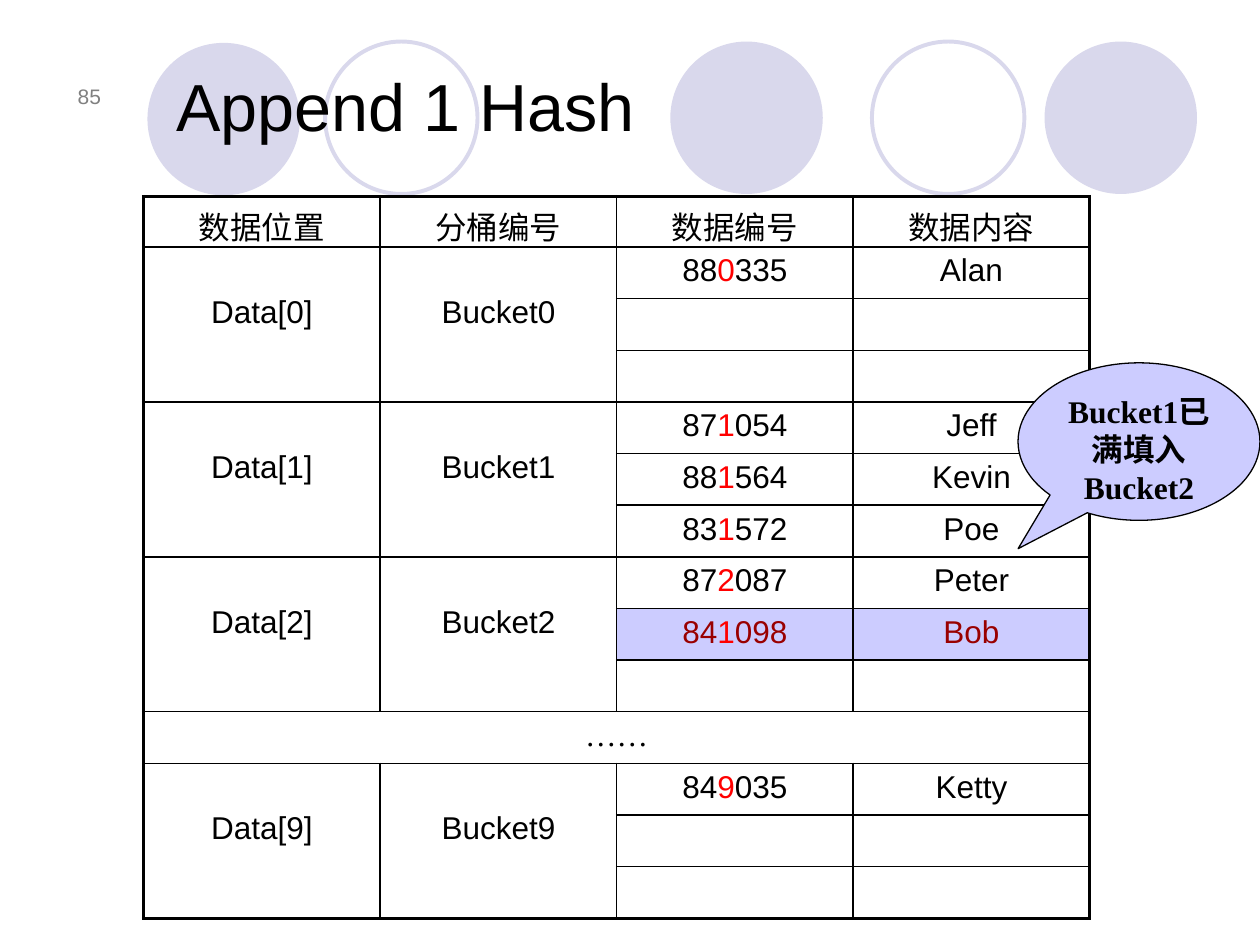
"""Build the Append 1 Hash slide with its bucket table and callout."""
from typing import NamedTuple

from lxml.etree import SubElement
from pptx import Presentation
from pptx.dml.color import RGBColor
from pptx.enum.shapes import MSO_SHAPE
from pptx.enum.text import MSO_ANCHOR, PP_ALIGN
from pptx.oxml.ns import qn
from pptx.util import Inches, Pt

COLORS = {
    "black": "000000", "gray": "808080", "lavender": "D9D8EC",
    "violet": "CCCCFF", "red": "FF0000", "maroon": "990000",
}


class Circle(NamedTuple):
    left: float
    top: float
    filled: bool


class Label(NamedTuple):
    text: str
    box: tuple
    size: float
    color: str
    align: PP_ALIGN
    line_spacing: float


class Record(NamedTuple):
    number: str
    name: str
    color: str = "black"
    fill: str = ""


class Bucket(NamedTuple):
    index: int
    first_row: int
    records: tuple


CIRCLES = (
    Circle(5.32, 0.33, True), Circle(8.29, 0.33, True), Circle(1.17, 0.34, True),
    Circle(6.92, 0.33, False), Circle(2.58, 0.33, False),
)
LABELS = (
    Label("85", (0.35, 0.44, 0.55, 0.47), 12, "gray", PP_ALIGN.RIGHT, 1),
    Label("Append 1 Hash", (1.3, 0.68, 8.47, 0.52), 38, "black", PP_ALIGN.LEFT, 1.15),
)
HEADINGS = ("数据位置", "分桶编号", "数据编号", "数据内容")
BUCKETS = (
    Bucket(0, 1, (Record("880335", "Alan"),)),
    Bucket(1, 4, (Record("871054", "Jeff"), Record("881564", "Kevin"), Record("831572", "Poe"))),
    Bucket(2, 7, (Record("872087", "Peter"), Record("841098", "Bob", "maroon", "violet"))),
    Bucket(9, 11, (Record("849035", "Ketty"),)),
)
BUCKET_SIZE = 3
ELLIPSIS_ROW = 10
ROW_COUNT = 14
KEY_DIGIT = 2


def rgb(color: str) -> RGBColor:
    """Return the named colour."""
    return RGBColor.from_string(COLORS[color])


def add_run(paragraph, text: str, size: float, color: str = "black",
            name: str = "Arial", bold: bool = False) -> None:
    """Append one formatted run."""
    run = paragraph.add_run()
    run.text = text
    formats = {"size": Pt(size), "name": name, "bold": bold}
    for attribute, value in formats.items():
        setattr(run.font, attribute, value)
    run.font.color.rgb = rgb(color)


def add_circle(slide, circle: Circle) -> None:
    """Draw a filled disc or an open ring."""
    shape = slide.shapes.add_shape(
        MSO_SHAPE.OVAL, Inches(circle.left), Inches(circle.top), Inches(1.21), Inches(1.21))
    shape.shadow.inherit = False
    if circle.filled:
        shape.fill.solid()
        shape.fill.fore_color.rgb = rgb("lavender")
        shape.line.fill.background()
    else:
        shape.fill.background()
        shape.line.color.rgb = rgb("lavender")
        shape.line.width = Pt(2.25)


def add_label(slide, label: Label) -> None:
    """Place a bottom-anchored line of text."""
    frame = slide.shapes.add_textbox(*map(Inches, label.box)).text_frame
    frame.word_wrap = True
    frame.vertical_anchor = MSO_ANCHOR.BOTTOM
    paragraph = frame.paragraphs[0]
    paragraph.alignment = label.align
    paragraph.line_spacing = label.line_spacing
    add_run(paragraph, label.text, label.size, label.color)


def write_cell(cell, *runs: tuple, name: str = "Arial") -> None:
    """Write centred runs of text and colour into a cell."""
    paragraph = cell.text_frame.paragraphs[0]
    paragraph.alignment = PP_ALIGN.CENTER
    for text, color in runs:
        add_run(paragraph, text, 18, color, name)


def set_borders(cell, edges: dict) -> None:
    """Draw thick lines on outer edges and thin lines elsewhere."""
    properties = cell._tc.get_or_add_tcPr()
    for tag, outer in edges.items():
        line = SubElement(properties, qn(f"a:{tag}"), w=str(Pt(2.25 if outer else 1)))
        fill = SubElement(line, qn("a:solidFill"))
        SubElement(fill, qn("a:srgbClr"), val=COLORS["black"])


def fill_bucket(table, bucket: Bucket) -> None:
    """Write one bucket's merged labels and its records."""
    for column, text in enumerate((f"Data[{bucket.index}]", f"Bucket{bucket.index}")):
        cell = table.cell(bucket.first_row, column)
        cell.merge(table.cell(bucket.first_row + BUCKET_SIZE - 1, column))
        cell.margin_top = Inches(0.38)
        write_cell(cell, (text, "black"))
    for row, record in enumerate(bucket.records, bucket.first_row):
        number_cell, name_cell = table.cell(row, 2), table.cell(row, 3)
        write_cell(number_cell, (record.number[:KEY_DIGIT], record.color),
                   (record.number[KEY_DIGIT], "red"),
                   (record.number[KEY_DIGIT + 1:], record.color))
        write_cell(name_cell, (record.name, record.color))
        if record.fill:
            for cell in (number_cell, name_cell):
                cell.fill.solid()
                cell.fill.fore_color.rgb = rgb(record.fill)


def add_hash_table(slide) -> None:
    """Build the table of buckets."""
    columns = len(HEADINGS)
    table = slide.shapes.add_table(
        ROW_COUNT, columns, Inches(1.14), Inches(1.56), Inches(7.51), Inches(5.74)).table
    for attribute in ("first_row", "horz_banding"):
        setattr(table, attribute, False)
    for column in table.columns:
        column.width = Inches(7.51 / columns)
    for index, row in enumerate(table.rows):
        row.height = Inches(0.41 if index else 0.4)
        for column, cell in enumerate(row.cells):
            is_bucket_label = column < 2 and index == ROW_COUNT - BUCKET_SIZE
            set_borders(cell, {
                "lnL": column == 0,
                "lnR": column == columns - 1 or index == ELLIPSIS_ROW,
                "lnT": index == 0,
                "lnB": index == ROW_COUNT - 1 or is_bucket_label,
            })
            cell.fill.background()
    for column, heading in enumerate(HEADINGS):
        write_cell(table.cell(0, column), (heading, "black"))
    for bucket in BUCKETS:
        fill_bucket(table, bucket)
    gap = table.cell(ELLIPSIS_ROW, 0)
    gap.merge(table.cell(ELLIPSIS_ROW, columns - 1))
    write_cell(gap, ("……", "black"), name="Times New Roman")


def add_callout(slide) -> None:
    """Draw the overflow note pointing at the full bucket."""
    shape = slide.shapes.add_shape(
        MSO_SHAPE.OVAL_CALLOUT, Inches(8.08), Inches(2.88), Inches(1.92), Inches(1.25))
    shape.shadow.inherit = False
    shape.adjustments[0], shape.adjustments[1] = -0.5, 0.68
    shape.fill.solid()
    shape.fill.fore_color.rgb = rgb("violet")
    shape.line.color.rgb = rgb("black")
    shape.line.width = Pt(0.75)
    frame = shape.text_frame
    frame.word_wrap = True
    frame.vertical_anchor = MSO_ANCHOR.TOP
    frame.paragraphs[0].alignment = PP_ALIGN.CENTER
    add_run(frame.paragraphs[0], "Bucket1已满填入Bucket2", 18, name="Times New Roman", bold=True)


def main() -> None:
    """Assemble and save the presentation."""
    presentation = Presentation()
    presentation.slide_width, presentation.slide_height = Inches(10), Inches(7.5)
    slide = presentation.slides.add_slide(presentation.slide_layouts[6])
    for circle in CIRCLES:
        add_circle(slide, circle)
    for label in LABELS:
        add_label(slide, label)
    add_hash_table(slide)
    add_callout(slide)
    presentation.save("out.pptx")


if __name__ == "__main__":
    main()
